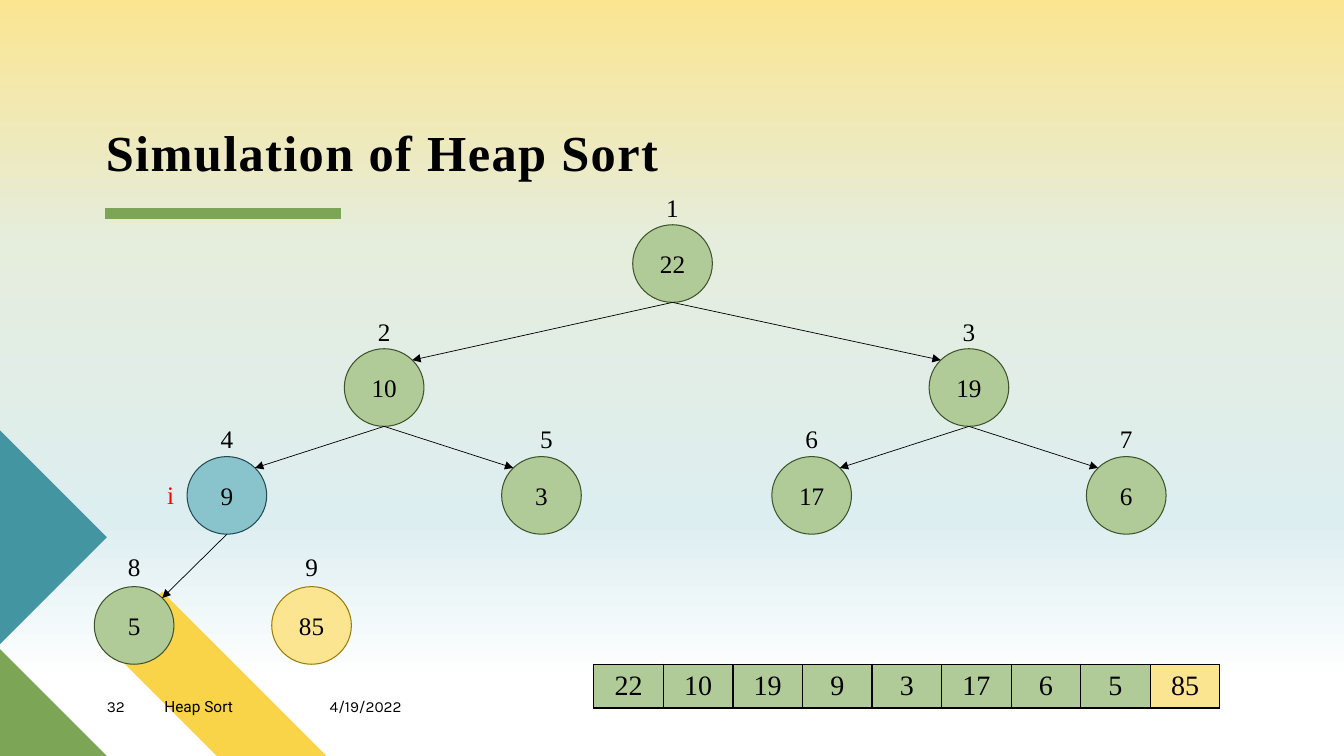
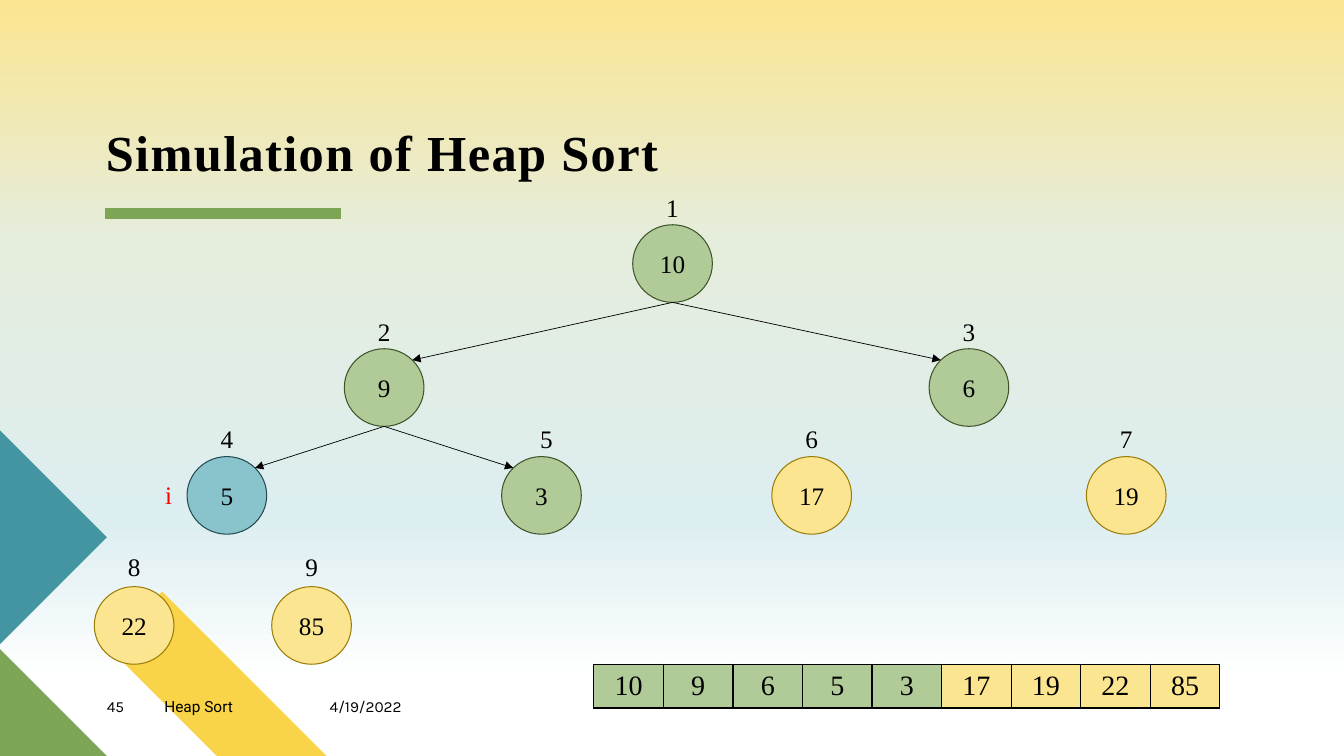
"""Build two slides that simulate heap sort with a tree and an array."""
import copy
import math

from lxml import etree
from pptx import Presentation, util as u
from pptx.dml.color import RGBColor
from pptx.enum import shapes, text
from pptx.oxml.ns import qn

STEPS = [
    {"number": "32", "values": [22, 10, 19, 9, 3, 17, 6, 5, 85], "heap_size": 8, "i_left": 1.56},
    {"number": "45", "values": [10, 9, 6, 5, 3, 17, 19, 22, 85], "heap_size": 5, "i_left": 1.54},
]
TITLE = "Simulation of Heap Sort"
FOOTERS = [("number", 1.06, 0.57, "Karla"), ("Heap Sort", 1.63, 1.64, "Roboto"),
           ("4/19/2022", 3.27, 1.44, "Karla")]
CURRENT = 4

COLORS = {
    "black": "000000", "red": "FF0000", "yellow": "F9D448", "green": "7CA655", "teal": "4495A2",
    "heap": "B0CA98", "heap_line": "3E532A", "current": "89C4CD", "current_line": "224A51",
    "sorted": "FBE591", "sorted_line": "9B7C05",
}
BACKGROUND = [(0, "FBE591"), (0.32, "E5EDDD"), (0.69, "DDEEF1"), (0.9, "FFFFFF")]
CORNERS = [
    ("yellow", [(3.24, 7.5), (2.15, 7.5), (1.06, 6.41), (1.61, 5.87)]),
    ("green", [(1.06, 7.5), (0, 7.5), (0, 6.44)]),
    ("teal", [(0, 4.27), (1.06, 5.33), (0, 6.39)]),
]

LEVELS = [
    {"top": 2.23, "label_top": 1.88, "centers": [6.67]},
    {"top": 3.46, "label_top": 3.11, "centers": [3.81, 9.61]},
    {"top": 4.53, "label_top": 4.17, "centers": [2.25, 5.37, 8.05, 11.17]},
    {"top": 5.82, "label_top": 5.44, "centers": [1.33, 3.09]},
]
NODES = [(x, level["top"], level["label_top"]) for level in LEVELS for x in level["centers"]]
NODE_W, NODE_H = 0.79, 0.77
LABEL_W, LABEL_H = 0.52, 0.36
LABEL_SHIFT = {5: 0.05}
CELL_W, CELL_H = 0.69, 0.41

SERIF = "Times New Roman"
BODY = {"name": SERIF, "size": u.Pt(18)}
HEADING = {"name": SERIF, "size": u.Pt(36), "bold": True}
MARGINS = ("margin_left", "margin_top", "margin_right", "margin_bottom")
CENTERED = {"word_wrap": True, "vertical_anchor": text.MSO_ANCHOR.MIDDLE,
            **dict.fromkeys(MARGINS, u.Inches(0.13))}
FLUSH = {"word_wrap": True, **dict.fromkeys(MARGINS, 0)}
TITLE_FRAME = {**FLUSH, "vertical_anchor": text.MSO_ANCHOR.BOTTOM,
               "auto_size": text.MSO_AUTO_SIZE.NONE}
POINTER_FRAME = {"word_wrap": True, "auto_size": text.MSO_AUTO_SIZE.SHAPE_TO_FIT_TEXT}
CENTER, LEFT = text.PP_ALIGN.CENTER, text.PP_ALIGN.LEFT


def rgb(name):
    return RGBColor.from_string(COLORS[name])


def inches(*values):
    return [u.Inches(v) for v in values]


def apply(target, values):
    for name, value in values.items():
        setattr(target, name, value)


def write(tf, words, font, frame, align=LEFT, color="black"):
    apply(tf, frame)
    p = tf.paragraphs[0]
    p.alignment = align
    r = p.add_run()
    r.text = words
    apply(r.font, font)
    r.font.color.rgb = rgb(color)
    return p


def paint(sp, fill, line=None):
    sp.shadow.inherit = False
    sp.fill.solid()
    sp.fill.fore_color.rgb = rgb(fill)
    if line:
        sp.line.color.rgb = rgb(line)
        sp.line.width = u.Pt(0.75)
    else:
        sp.line.fill.background()


def add_text(s, box, *args, **kwargs):
    return write(s.shapes.add_textbox(*inches(*box)).text_frame, *args, **kwargs)


def add_line(s, start, end, color, width, arrow=False):
    sp = s.shapes.add_connector(shapes.MSO_CONNECTOR.STRAIGHT, *inches(*start, *end))
    sp.line.color.rgb = rgb(color)
    sp.line.width = u.Pt(width)
    if arrow:
        etree.SubElement(sp.line._get_or_add_ln(), qn("a:tailEnd"), type="triangle")
    etree.SubElement(sp._element.spPr, qn("a:effectLst"))


def set_background(master):
    fill = master.background.fill
    fill.gradient()
    fill.gradient_angle = 270
    stops = fill.gradient_stops
    gs_list = stops[0]._gs.getparent()
    for _ in range(len(BACKGROUND) - len(stops)):
        gs_list.append(copy.deepcopy(gs_list[-1]))
    for stop, (position, color) in zip(fill.gradient_stops, BACKGROUND):
        stop.position = position
        stop.color.rgb = RGBColor.from_string(color)


def add_frame(s, number):
    for color, points in CORNERS:
        start, *rest = [inches(*point) for point in points]
        outline = s.shapes.build_freeform(*start)
        outline.add_line_segments(rest)
        paint(outline.convert_to_shape(), color)
    add_line(s, (1.04, 2.12), (3.38, 2.12), "green", 8)
    title = s.shapes.title
    title.left, title.top, title.width, title.height = inches(1.05, 1.3, 9.84, 0.51)
    p = write(title.text_frame, TITLE, HEADING, TITLE_FRAME)
    p.line_spacing = 0.9
    p.runs[0].font._element.set("spc", "100")
    for words, left, width, font in FOOTERS:
        add_text(s, (left, 6.92, width, 0.27), number if words == "number" else words,
                 {"name": font, "size": u.Pt(11)}, FLUSH)


def add_tree(s, values, heap_size):
    for k, (value, (x, top, label_top)) in enumerate(zip(values, NODES), 1):
        state = "current" if k == CURRENT else "heap" if k <= heap_size else "sorted"
        sp = s.shapes.add_shape(shapes.MSO_SHAPE.OVAL,
                                *inches(x - NODE_W / 2, top, NODE_W, NODE_H))
        paint(sp, state, state + "_line")
        write(sp.text_frame, str(value), BODY, CENTERED, CENTER)
        label_left = x - LABEL_W / 2 + LABEL_SHIFT.get(k, 0)
        add_text(s, (label_left, label_top, LABEL_W, LABEL_H), str(k), BODY, CENTERED, CENTER)
    for child in range(2, heap_size + 1):
        parent_x, parent_top, _ = NODES[child // 2 - 1]
        x, top, _ = NODES[child - 1]
        side = math.copysign(NODE_W / 2 * math.sqrt(0.5), parent_x - x)
        end = (x + side, top + NODE_H / 2 * (1 - math.sqrt(0.5)))
        add_line(s, (parent_x, parent_top + NODE_H), end, "black", 0.5, arrow=True)


def add_border(cell):
    tc_pr = cell._tc.get_or_add_tcPr()
    for i, side in enumerate(("lnL", "lnR", "lnT", "lnB")):
        ln = etree.Element(qn("a:" + side), w=str(u.Pt(1)))
        fill = etree.SubElement(ln, qn("a:solidFill"))
        etree.SubElement(fill, qn("a:srgbClr"), val=COLORS["black"])
        tc_pr.insert(i, ln)


def add_array(s, values, heap_size):
    n = len(values)
    table = s.shapes.add_table(1, n, *inches(5.89, 6.59, n * CELL_W, CELL_H)).table
    apply(table, {"first_row": False, "horz_banding": False})
    for k, value in enumerate(values):
        table.columns[k].width = u.Inches(CELL_W)
        cell = table.cell(0, k)
        cell.fill.solid()
        cell.fill.fore_color.rgb = rgb("heap" if k < heap_size else "sorted")
        cell.vertical_anchor = text.MSO_ANCHOR.MIDDLE
        write(cell.text_frame, str(value), {**BODY, "size": u.Pt(20)}, {}, CENTER)
        add_border(cell)


def main():
    prs = Presentation()
    prs.slide_width, prs.slide_height = inches(13.33, 7.5)
    set_background(prs.slide_master)
    for step in STEPS:
        s = prs.slides.add_slide(prs.slide_layouts[5])
        add_frame(s, step["number"])
        add_tree(s, step["values"], step["heap_size"])
        add_array(s, step["values"], step["heap_size"])
        add_text(s, (step["i_left"], 4.71, 0.42, 0.4), "i", BODY, POINTER_FRAME, color="red")
    prs.save("out.pptx")


if __name__ == "__main__":
    main()
